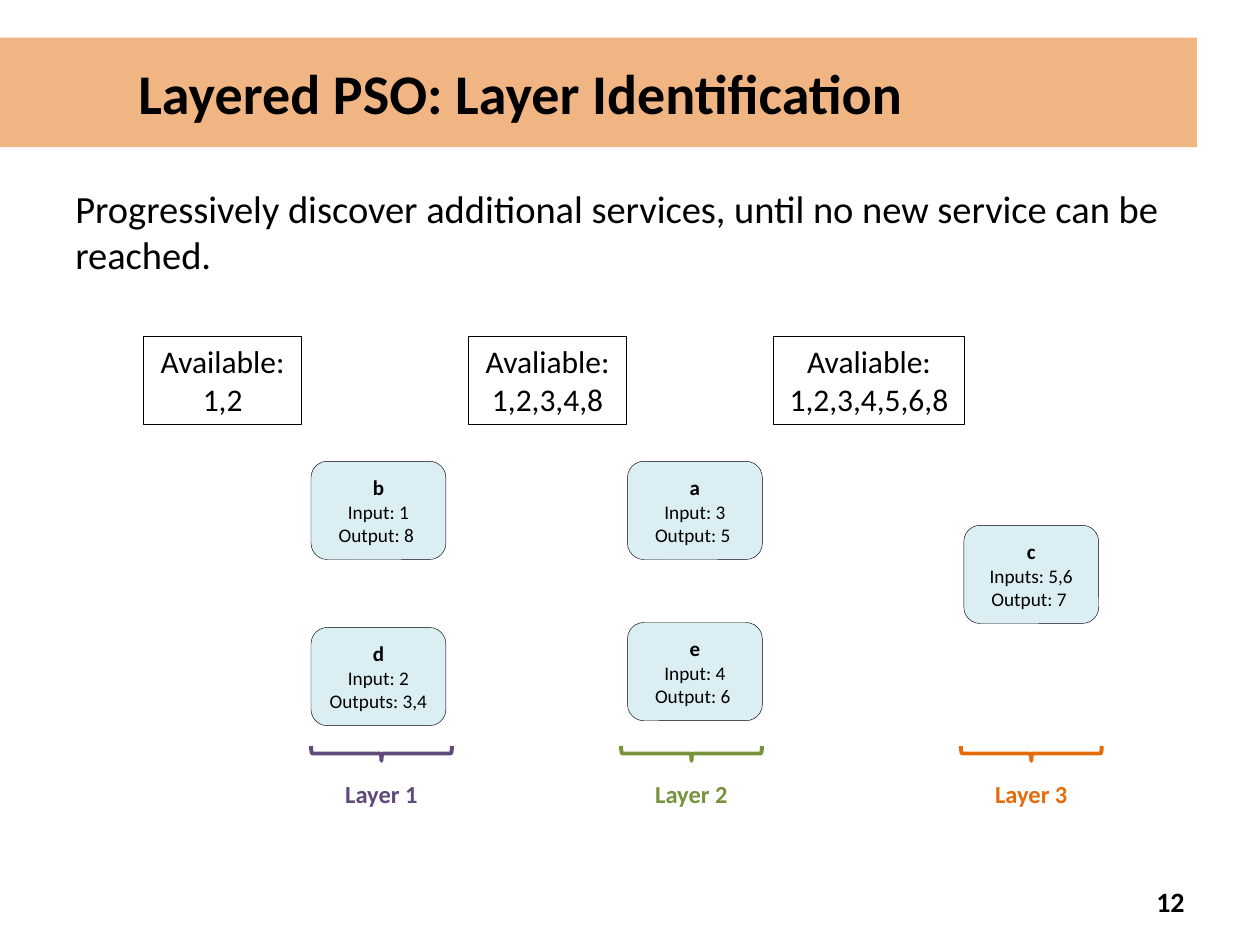
from dataclasses import dataclass

from lxml import etree
from pptx import Presentation
from pptx.dml.color import RGBColor
from pptx.enum.shapes import MSO_SHAPE
from pptx.enum.text import MSO_ANCHOR, PP_ALIGN
from pptx.oxml.ns import qn
from pptx.util import Cm, Pt

RECT = MSO_SHAPE.RECTANGLE
ROUNDED = MSO_SHAPE.ROUNDED_RECTANGLE
BRACE = MSO_SHAPE.RIGHT_BRACE
TOP, MIDDLE = MSO_ANCHOR.TOP, MSO_ANCHOR.MIDDLE
LEFT, CENTER, RIGHT = PP_ALIGN.LEFT, PP_ALIGN.CENTER, PP_ALIGN.RIGHT


@dataclass(frozen=True)
class Theme:
    font: str = "Calibri"
    ink: str = "000000"
    paper: str = "FFFFFF"
    orange: str = "E46C0A"
    purple: str = "604A7B"
    green: str = "77933C"
    service: str = "DBEEF4"
    title: int = 32
    body: int = 22
    available: int = 18
    number: int = 16
    layer: int = 14
    name: int = 12
    detail: int = 11


class Deck:
    def __init__(self, theme):
        self.theme = theme
        self.prs = Presentation()
        self.prs.slide_width, self.prs.slide_height = Cm(25.4), Cm(19.05)
        self.s = self.prs.slides.add_slide(self.prs.slide_layouts[6])

    def set_text(self, sp, text, size, align=LEFT, anchor=TOP, bold=False, color=None):
        tf = sp.text_frame
        tf.text = text
        tf.word_wrap = True
        tf.vertical_anchor = anchor
        for p in tf.paragraphs:
            p.alignment = align
            for r in p.runs:
                r.font.name = self.theme.font
                r.font.size = Pt(size)
                r.font.bold = bold
                r.font.color.rgb = RGBColor.from_string(color or self.theme.ink)
        return tf

    def shape(self, kind, x, y, w, h, fill=None, line=None, width=0, shapes=None):
        sp = (shapes or self.s.shapes).add_shape(kind, Cm(x), Cm(y), Cm(w), Cm(h))
        sp.shadow.inherit = False
        if fill:
            sp.fill.solid()
            sp.fill.fore_color.rgb = RGBColor.from_string(fill)
        else:
            sp.fill.background()
        if line:
            sp.line.color.rgb = RGBColor.from_string(line)
            sp.line.width = Pt(width)
        else:
            sp.line.fill.background()
        return sp

    def text(self, x, y, w, h, text, size, shapes=None, **style):
        sp = (shapes or self.s.shapes).add_textbox(Cm(x), Cm(y), Cm(w), Cm(h))
        self.set_text(sp, text, size, **style)

    def title(self, text):
        sp = self.shape(RECT, 0, 0.76, 24.13, 2.21, self.theme.orange)
        color = sp.element.spPr.find(qn("a:solidFill"))[0]
        etree.SubElement(color, qn("a:alpha")).set("val", "50000")
        tf = self.set_text(sp, text, self.theme.title, anchor=MIDDLE, bold=True)
        tf.margin_left = Cm(2.79)

    def available(self, x, w, text):
        sp = self.shape(RECT, x, 6.78, w, 1.78, self.theme.paper, self.theme.ink, 0.75)
        self.set_text(sp, text, self.theme.available, CENTER)

    def service(self, x, y, name, inputs, outputs):
        sp = self.shape(ROUNDED, x, y, 2.72, 1.98, self.theme.service, self.theme.ink, 0.25)
        tf = self.set_text(sp, f"{name}\n{inputs}\n{outputs} ", self.theme.detail, CENTER, MIDDLE)
        r = tf.paragraphs[0].runs[0]
        r.font.size = Pt(self.theme.name)
        r.font.bold = True

    def layer(self, x, text, color):
        w, h, y = 2.84, 0.3, 15.04
        shift = (w - h) / 2
        shapes = self.s.shapes.add_group_shape().shapes
        sp = self.shape(BRACE, x + shift, y - shift, h, w, line=color, width=2.25, shapes=shapes)
        sp.rotation = 90
        self.text(x, 15.57, w, 0.86, text, self.theme.layer, shapes,
                  align=CENTER, bold=True, color=color)


def main():
    theme = Theme()
    deck = Deck(theme)
    deck.title("Layered PSO: Layer Identification")
    deck.text(18.21, 17.65, 5.92, 1.02, "12", theme.number,
              align=RIGHT, anchor=MIDDLE, bold=True)
    deck.text(1.27, 3.61, 22.86, 2.34,
              "Progressively discover additional services, "
              "until no new service can be reached.", theme.body)

    for x, w, text in [
        (2.9, 3.18, "Available: 1,2"),
        (9.45, 3.18, "Avaliable: 1,2,3,4,8"),
        (15.6, 3.84, "Avaliable: 1,2,3,4,5,6,8"),
    ]:
        deck.available(x, w, text)

    for x, y, name, inputs, outputs in [
        (6.27, 9.3, "b", "Input: 1", "Output: 8"),
        (6.27, 12.65, "d", "Input: 2", "Outputs: 3,4"),
        (12.65, 9.3, "a", "Input: 3", "Output: 5"),
        (12.65, 12.55, "e", "Input: 4", "Output: 6"),
        (19.43, 10.59, "c", "Inputs: 5,6", "Output: 7"),
    ]:
        deck.service(x, y, name, inputs, outputs)

    layers = [(6.27, theme.purple), (12.52, theme.green), (19.37, theme.orange)]
    for i, (x, color) in enumerate(layers, 1):
        deck.layer(x, f"Layer {i}", color)

    deck.prs.save("out.pptx")


if __name__ == "__main__":
    main()
